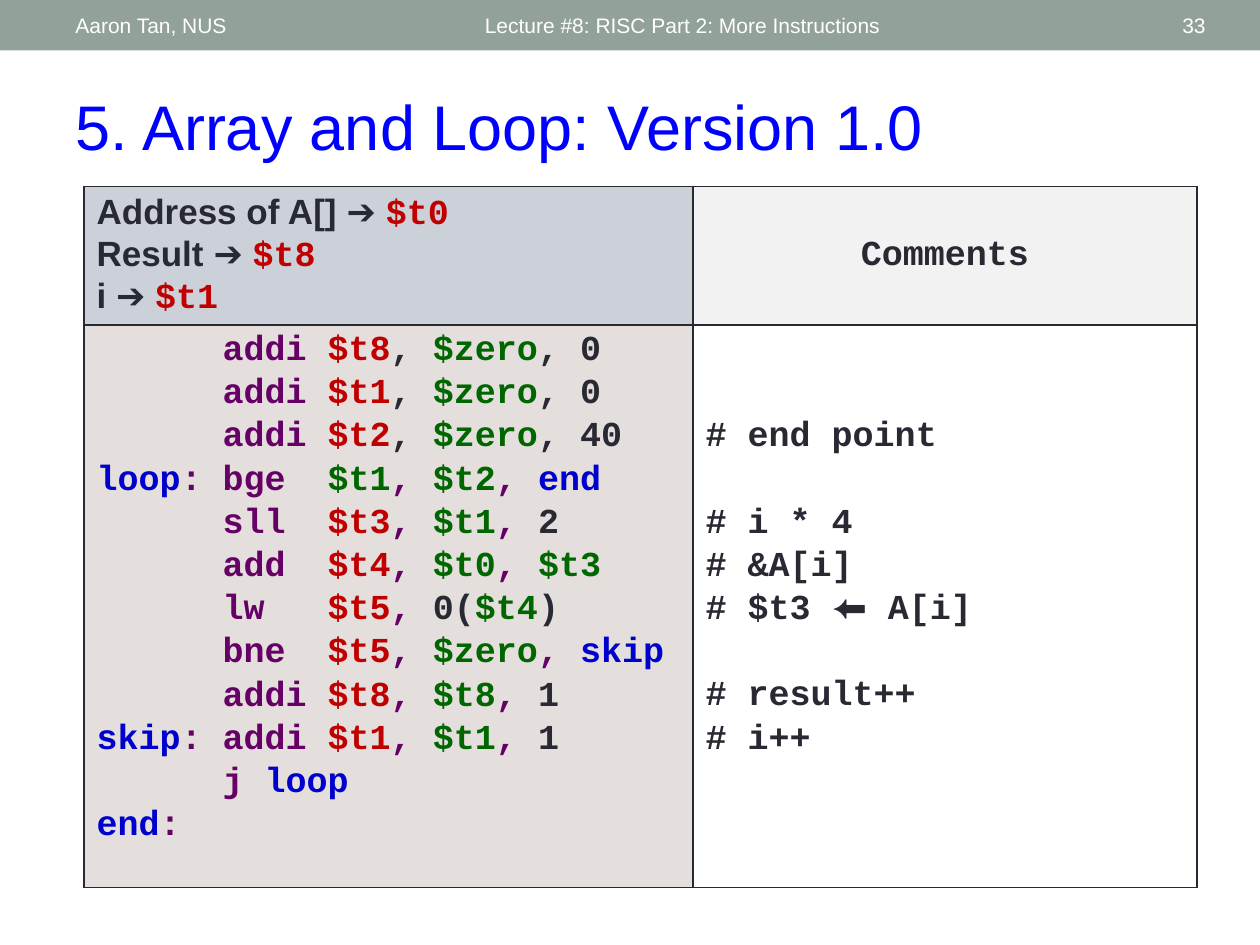
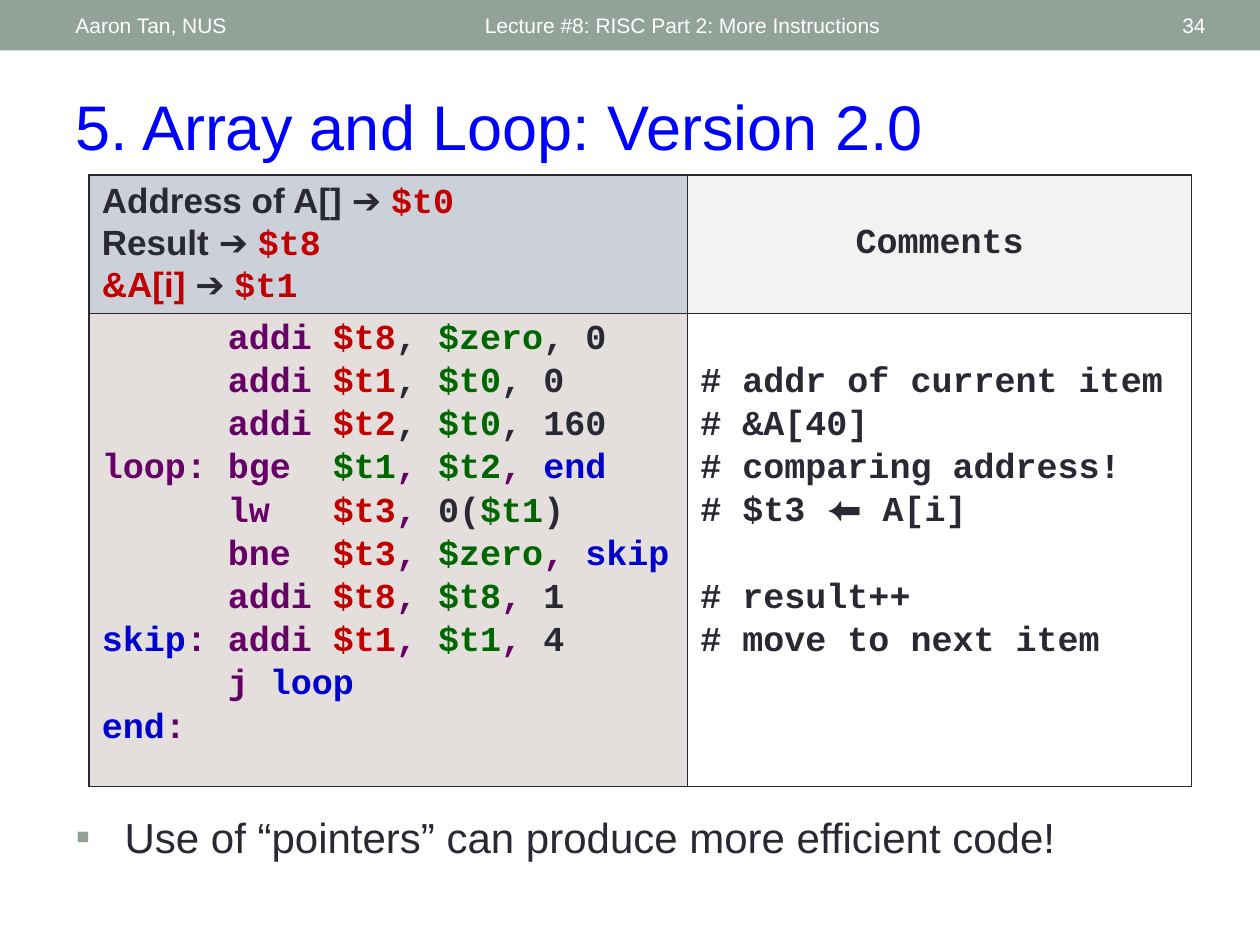
import pptx
import pptx.dml.color
import pptx.enum.shapes
import pptx.enum.text
import pptx.oxml
import pptx.oxml.ns
import pptx.util
from lxml import etree

Pt = pptx.util.Pt
RGBColor = pptx.dml.color.RGBColor
Align = pptx.enum.text.PP_ALIGN
Anchor = pptx.enum.text.MSO_ANCHOR

SAGE = RGBColor(0x93, 0xA2, 0x99)
WHITE = RGBColor(0xFF, 0xFF, 0xFF)
TITLE_BLUE = RGBColor(0x00, 0x00, 0xFF)
DARK = RGBColor(0x29, 0x29, 0x34)
RED = RGBColor(0xC0, 0x00, 0x00)
GREEN = RGBColor(0x00, 0x66, 0x00)
PURPLE = RGBColor(0x66, 0x00, 0x66)
LABEL_BLUE = RGBColor(0x00, 0x00, 0xCC)
MAPPING_FILL = RGBColor(0xCC, 0xD1, 0xD9)
COMMENT_HEAD_FILL = RGBColor(0xF2, 0xF2, 0xF2)
CODE_FILL = RGBColor(0xE4, 0xDF, 0xDC)

SANS, MONO = "Arial", "Courier New"
CODE_SIZE = 20
LINE_GAP = 2
LINE_PITCH = 24.66  # one code line with its gap
CODE_TABS = (72, 132)  # operation and operands: columns 6 and 11
CELL_MARGIN = 3.6

# Each line of code: label, operation, operands, comment
VERSION_1 = [
    ("", "addi", "$t8, $zero, 0", ""),
    ("", "addi", "$t1, $zero, 0", ""),
    ("", "addi", "$t2, $zero, 40", "# end point"),
    ("loop", "bge", "$t1, $t2, end", ""),
    ("", "sll", "$t3, $t1, 2", "# i * 4"),
    ("", "add", "$t4, $t0, $t3", "# &A[i]"),
    ("", "lw", "$t5, 0($t4)", "# $t3 \u2b05 A[i]"),
    ("", "bne", "$t5, $zero, skip", ""),
    ("", "addi", "$t8, $t8, 1", "# result++"),
    ("skip", "addi", "$t1, $t1, 1", "# i++"),
    ("", "j", "loop", ""),
    ("end", "", "", ""),
]
VERSION_2 = [
    ("", "addi", "$t8, $zero, 0", ""),
    ("", "addi", "$t1, $t0, 0", "# addr of current item"),
    ("", "addi", "$t2, $t0, 160", "# &A[40]"),
    ("loop", "bge", "$t1, $t2, end", "# comparing address!"),
    ("", "lw", "$t3, 0($t1)", "# $t3 \u2b05 A[i]"),
    ("", "bne", "$t3, $zero, skip", ""),
    ("", "addi", "$t8, $t8, 1", "# result++"),
    ("skip", "addi", "$t1, $t1, 4", "# move to next item"),
    ("", "j", "loop", ""),
    ("end", "", "", ""),
]
SETUP_LINES = 3  # the first lines have dark commas


def add_run(paragraph, text, color, font_name=MONO):
    """Append a bold run in code size."""
    run = paragraph.add_run()
    run.text = text
    run.font.name = font_name
    run.font.size = Pt(CODE_SIZE)
    run.font.bold = True
    run.font.color.rgb = color


def line_paragraph(frame, index):
    """Return the paragraph for a line, adding it after the first."""
    return frame.paragraphs[0] if index == 0 else frame.add_paragraph()


def style_paragraph(paragraph, size, color, alignment=Align.LEFT):
    """Format a paragraph set in one sans style."""
    paragraph.alignment = alignment
    paragraph.font.name = SANS
    paragraph.font.size = Pt(size)
    paragraph.font.color.rgb = color


def place(shape, box):
    """Move a shape to a box of left, top, width, height."""
    shape.left, shape.top, shape.width, shape.height = map(Pt, box)


def set_tabs(paragraph, positions):
    """Give a paragraph left tab stops."""
    tab_list = etree.SubElement(paragraph._p.get_or_add_pPr(), pptx.oxml.ns.qn("a:tabLst"))
    for position in positions:
        etree.SubElement(tab_list, pptx.oxml.ns.qn("a:tab"), pos=str(Pt(position)), algn="l")


def style_cell(cell, fill):
    """Fill a cell and draw its four borders."""
    cell.fill.solid()
    cell.fill.fore_color.rgb = fill
    for index, side in enumerate(("lnL", "lnR", "lnT", "lnB")):
        border = pptx.oxml.parse_xml(
            f'<a:{side} {pptx.oxml.ns.nsdecls("a")} w="{Pt(1)}"><a:solidFill>'
            f'<a:srgbClr val="{DARK}"/></a:solidFill></a:{side}>')
        cell._tc.get_or_add_tcPr().insert(index, border)


def operand_runs(operation, position, operand):
    """Yield text and colour for one operand; the register written is red."""
    if operand.startswith("$"):
        yield operand, RED if position == 0 and operation != "bge" else GREEN
    elif "(" in operand:
        offset, register = operand.rstrip(")").split("(")
        yield offset + "(", DARK
        yield register, GREEN
        yield ")", DARK
    else:
        yield operand, DARK if operand.isdigit() else LABEL_BLUE


def add_mapping(cell, mappings):
    """List which register holds what: name, name colour, register."""
    style_cell(cell, MAPPING_FILL)
    for index, (name, color, register) in enumerate(mappings):
        paragraph = line_paragraph(cell.text_frame, index)
        add_run(paragraph, name + " ", color, SANS)
        add_run(paragraph, "\u2794 ", DARK, SANS)
        add_run(paragraph, register, RED)


def add_code(cell, lines, loop_color):
    """Write the coloured assembly code."""
    style_cell(cell, CODE_FILL)
    for index, (label, operation, operands, _) in enumerate(lines):
        paragraph = line_paragraph(cell.text_frame, index)
        paragraph.space_before = Pt(LINE_GAP)
        set_tabs(paragraph, CODE_TABS)
        if label:
            add_run(paragraph, label, loop_color if label == "loop" else LABEL_BLUE)
            add_run(paragraph, ":", PURPLE)
        if not operation:
            continue
        add_run(paragraph, "\t" + operation + (" " if operation == "j" else "\t"), PURPLE)
        for position, operand in enumerate(operands.split(", ")):
            if position:
                add_run(paragraph, ", ", DARK if index < SETUP_LINES else PURPLE)
            for text, color in operand_runs(operation, position, operand):
                add_run(paragraph, text, color)


def add_comments(cell, lines):
    """Write each comment level with its line of code."""
    style_cell(cell, WHITE)
    commented = [(index, line[3]) for index, line in enumerate(lines) if line[3]]
    cell.margin_top = Pt(CELL_MARGIN + commented[0][0] * LINE_PITCH)
    previous = commented[0][0] - 1
    for order, (index, comment) in enumerate(commented):
        paragraph = line_paragraph(cell.text_frame, order)
        paragraph.space_before = Pt(LINE_GAP + (index - previous - 1) * LINE_PITCH
                                    if order else LINE_GAP)
        add_run(paragraph, comment, DARK)
        previous = index


def add_code_table(slide, box, code_width, mappings, lines, loop_color):
    """Place the table of registers, code and comments in a box."""
    left, top, width, height = box
    header_height = 79.2
    table = slide.shapes.add_table(2, 2, *map(Pt, box)).table
    table.first_row = table.horz_banding = False
    table.columns[0].width, table.columns[1].width = Pt(code_width), Pt(width - code_width)
    table.rows[0].height, table.rows[1].height = Pt(header_height), Pt(height - header_height)
    add_mapping(table.cell(0, 0), mappings)
    heading = table.cell(0, 1)
    style_cell(heading, COMMENT_HEAD_FILL)
    heading.vertical_anchor = Anchor.MIDDLE
    heading.text_frame.paragraphs[0].alignment = Align.CENTER
    add_run(heading.text_frame.paragraphs[0], "Comments", DARK)
    add_code(table.cell(1, 0), lines, loop_color)
    add_comments(table.cell(1, 1), lines)


def add_band(slide, box, number):
    """Draw the top band with author, lecture and slide number."""
    left, top, width, height = box
    band = slide.shapes.add_shape(pptx.enum.shapes.MSO_SHAPE.RECTANGLE, *map(Pt, box))
    band.shadow.inherit = False
    band.fill.solid()
    band.fill.fore_color.rgb = SAGE
    band.line.fill.background()
    labels = (
        ("Aaron Tan, NUS", 36, 228, Align.LEFT),
        ("Lecture #8: RISC Part 2: More Instructions", 270, 324, Align.LEFT),
        (str(number), 628, 68, Align.RIGHT),
    )
    for text, offset, label_width, alignment in labels:
        label = slide.shapes.add_textbox(
            Pt(left + offset), Pt(top + 1.5), Pt(label_width), Pt(height - 3))
        frame = label.text_frame
        frame.word_wrap = True
        frame.vertical_anchor = Anchor.MIDDLE
        frame.text = text
        style_paragraph(frame.paragraphs[0], 12, WHITE, alignment)


def add_title(slide, box, text):
    """Set the slide title."""
    title = slide.shapes.title
    place(title, box)
    frame = title.text_frame
    frame.text = text
    frame.auto_size = pptx.enum.text.MSO_AUTO_SIZE.NONE
    frame.vertical_anchor = Anchor.BOTTOM
    style_paragraph(frame.paragraphs[0], 36, TITLE_BLUE)


def add_remark(slide, box, text):
    """Set the body placeholder as one bulleted remark."""
    body = slide.placeholders[1]
    place(body, box)
    body.text_frame.text = text
    paragraph = body.text_frame.paragraphs[0]
    properties = paragraph._p.get_or_add_pPr()
    properties.set("marL", str(Pt(28)))
    properties.set("indent", str(Pt(-28)))
    color = etree.SubElement(properties, pptx.oxml.ns.qn("a:buClr"))
    etree.SubElement(color, pptx.oxml.ns.qn("a:srgbClr"), val=str(SAGE))
    etree.SubElement(properties, pptx.oxml.ns.qn("a:buChar"), char="\u25aa")
    paragraph.space_before = Pt(4)
    style_paragraph(paragraph, 24, DARK)


def add_version_slide(presentation, layout_index, number, title):
    """Add a slide with the shared band and title."""
    slide = presentation.slides.add_slide(presentation.slide_layouts[layout_index])
    add_band(slide, (0, 0, 720, 28.8), number)
    add_title(slide, (36, 46, 660, 51), title)
    return slide


def main():
    """Build both slides and save them."""
    presentation = pptx.Presentation()
    presentation.slide_width, presentation.slide_height = Pt(720), Pt(540)
    shared_mappings = [("Address of A[]", DARK, "$t0"), ("Result", DARK, "$t8")]

    slide = add_version_slide(presentation, 5, 33, "5. Array and Loop: Version 1.0")
    add_code_table(slide, (48, 106.5, 636, 400.5), 348,
                   shared_mappings + [("i", DARK, "$t1")], VERSION_1, LABEL_BLUE)

    slide = add_version_slide(presentation, 1, 34, "5. Array and Loop: Version 2.0")
    add_code_table(slide, (51, 100, 630, 349.5), 342,
                   shared_mappings + [("&A[i]", RED, "$t1")], VERSION_2, PURPLE)
    add_remark(slide, (36, 460, 648, 50),
               "Use of \u201cpointers\u201d can produce more efficient code!")
    presentation.save("out.pptx")


main()
